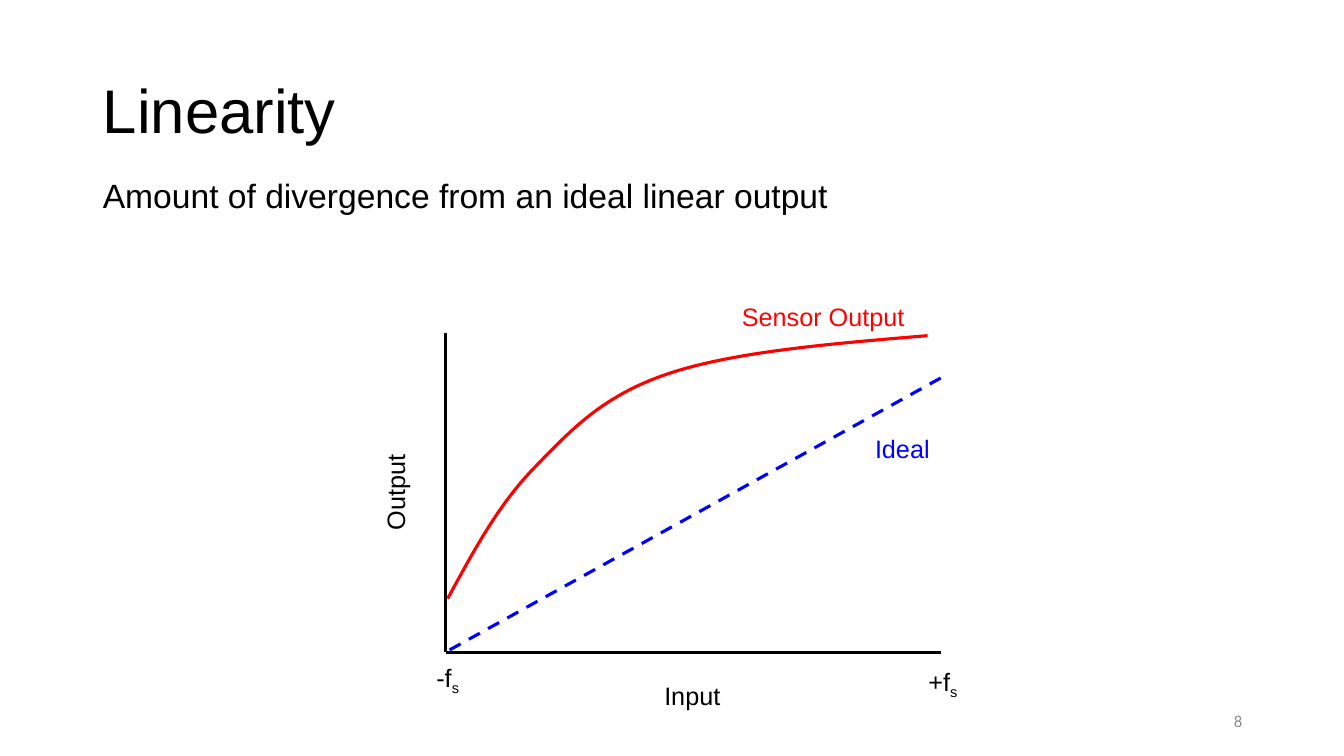
"""Build the Linearity slide: a sensor curve set against its ideal line."""
from lxml import etree
from pptx import Presentation
from pptx.dml.color import RGBColor
from pptx.enum.dml import MSO_LINE
from pptx.enum.shapes import MSO_CONNECTOR
from pptx.enum.text import MSO_ANCHOR, MSO_AUTO_SIZE, PP_ALIGN
from pptx.oxml.ns import qn
from pptx.util import Pt

PX = 9144
DASH = MSO_LINE.DASH
STRAIGHT = MSO_CONNECTOR.STRAIGHT
TOP, MIDDLE = MSO_ANCHOR.TOP, MSO_ANCHOR.MIDDLE
FIXED, GROW = MSO_AUTO_SIZE.NONE, MSO_AUTO_SIZE.SHAPE_TO_FIT_TEXT
LEFT, RIGHT = PP_ALIGN.LEFT, PP_ALIGN.RIGHT
COLORS = {"ink": "000000", "sensor": "FF0000", "ideal": "0000FF", "page": "8C8C8C"}


def place(shape, x, y, w, h):
    """Move and size a shape in px."""
    shape.left, shape.top, shape.width, shape.height = [v * PX for v in (x, y, w, h)]


def write(para, text, size, color="ink", face="Arial"):
    """Add one styled run and return it."""
    run = para.add_run()
    run.text = text
    run.font.size = Pt(size)
    run.font.name = face
    run.font.color.rgb = RGBColor.from_string(COLORS[color])
    return run


deck = Presentation()
deck.slide_width, deck.slide_height = 1333 * PX, 750 * PX
slide = deck.slides.add_slide(deck.slide_layouts[1])

title, body = slide.placeholders
heads = [
    (title, (92, 40, 1150, 145), MIDDLE, "Linearity", 44, 0),
    (body, (92, 173, 1150, 79), TOP,
     "Amount of divergence from an ideal linear output", 24, 10),
]
for holder, box, anchor, text, size, gap in heads:
    place(holder, *box)
    frame = holder.text_frame
    frame.auto_size = FIXED
    frame.vertical_anchor = anchor
    para = frame.paragraphs[0]
    para.alignment = LEFT
    para.line_spacing = 0.9
    para.space_before = Pt(gap)
    write(para, text, size)

props = body.text_frame.paragraphs[0]._p.get_or_add_pPr()
props.set("marL", "0")
props.set("indent", "0")
etree.SubElement(props, qn("a:buNone"))

graph = slide.shapes.add_group_shape().shapes

lines = [
    ((442, 330, 442, 647), "ink", None),
    ((933, 647, 442, 647), "ink", None),
    ((933, 375, 442, 647), "ideal", DASH),
]
for ends, color, dash in lines:
    line = graph.add_connector(STRAIGHT, *[v * PX for v in ends])
    line.line.color.rgb = RGBColor.from_string(COLORS[color])
    line.line.width = Pt(2.25)
    if dash:
        line.line.dash_style = dash
    etree.SubElement(line._element.spPr, qn("a:effectLst"))

knots = [(444, 594), (469, 548), (494, 501), (530, 464), (566, 427),
         (597, 393), (662, 371), (727, 349), (824, 341), (920, 333)]
STEPS = 24
points = []
for start in range(0, len(knots) - 1, 3):
    for step in range(1, STEPS + 1):
        t = step / STEPS
        u = 1 - t
        weights = (u ** 3, 3 * u * u * t, 3 * u * t * t, t ** 3)
        points.append([
            round(PX * sum(w * knot[axis] for w, knot in zip(weights, knots[start:])))
            for axis in (0, 1)
        ])
pen = graph.build_freeform(*[v * PX for v in knots[0]])
pen.add_line_segments(points, close=False)
curve = pen.convert_to_shape()
curve.shadow.inherit = False
curve.fill.background()
curve.line.color.rgb = RGBColor.from_string(COLORS["sensor"])
curve.line.width = Pt(2.25)

labels = [
    ("-f", "s", 423, 652, 44, "ink", 0),
    ("+f", "s", 911, 656, 50, "ink", 0),
    ("Input", "", 649, 670, 76, "ink", 0),
    ("Output", "", 344, 468, 96, "ink", 270),
    ("Ideal", "", 858, 425, 75, "ideal", 0),
    ("Sensor Output", "", 726, 294, 183, "sensor", 0),
]
for text, sub, x, y, width, color, turn in labels:
    label = graph.add_textbox(*[v * PX for v in (x, y, width, 40)])
    label.rotation = turn
    frame = label.text_frame
    frame.word_wrap = False
    frame.auto_size = GROW
    para = frame.paragraphs[0]
    write(para, text, 18, color)
    if sub:
        run = write(para, sub, 18, color)
        run._r.get_or_add_rPr().set("baseline", "-25000")

page = slide.shapes.add_textbox(*[v * PX for v in (942, 695, 300, 40)])
frame = page.text_frame
frame.word_wrap = True
frame.vertical_anchor = MIDDLE
para = frame.paragraphs[0]
para.alignment = RIGHT
write(para, "8", 12, "page", "Calibri")

deck.save("out.pptx")
